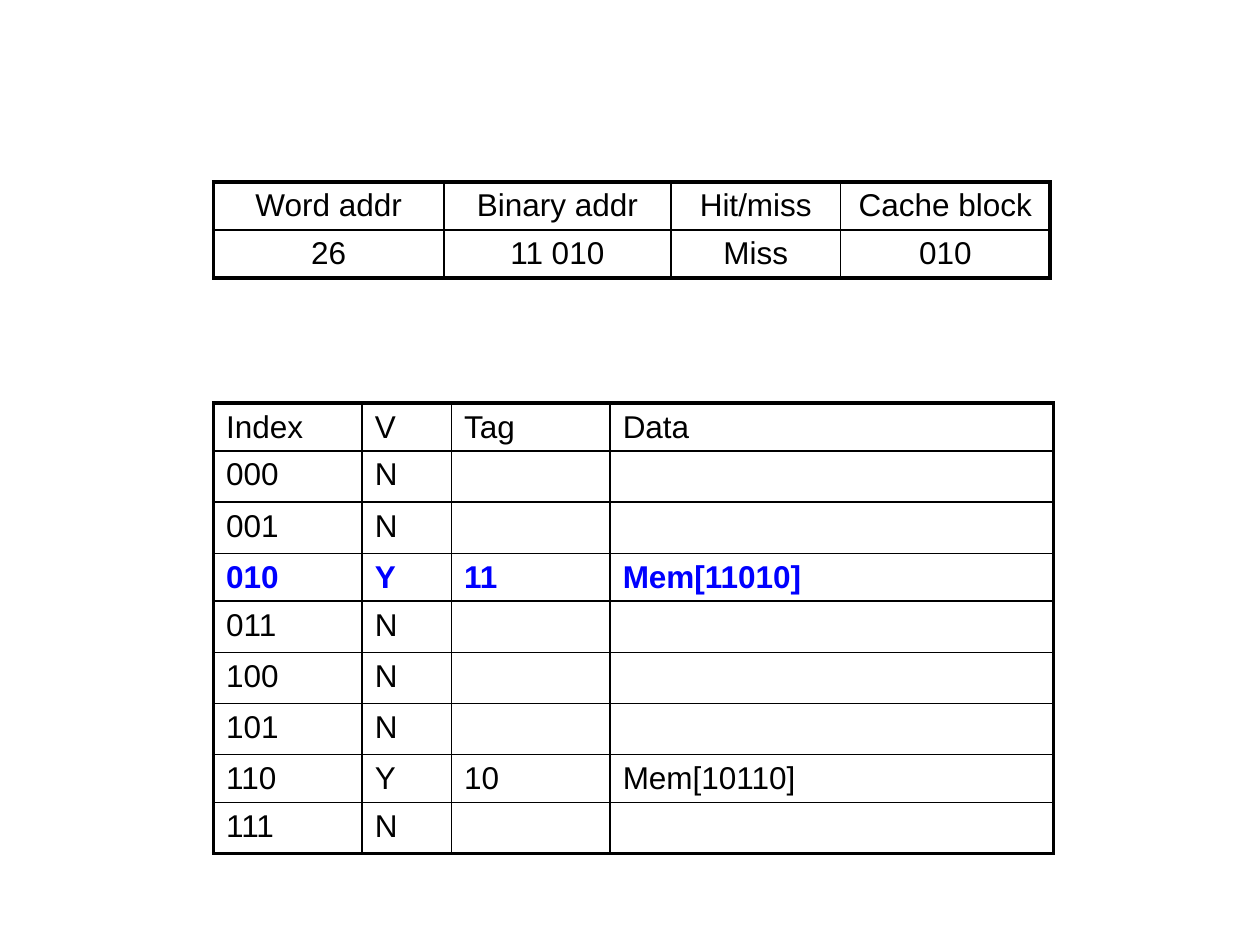
from lxml.etree import SubElement
from pptx import Presentation
from pptx.dml.color import RGBColor
from pptx.enum.text import PP_ALIGN
from pptx.oxml.ns import qn
from pptx.util import Pt

COLORS = {"ink": "000000", "mark": "0000FF"}
ROW = 27.4
OUTER, HEAD, INNER = 2.25, 1.5, 1

ACCESS = [
    ["Word addr", "Binary addr", "Hit/miss", "Cache block"],
    ["26", "11 010", "Miss", "010"],
]
CACHE = [
    ["Index", "V", "Tag", "Data"],
    ["000", "N", "", ""],
    ["001", "N", "", ""],
    ["010", "Y", "11", "Mem[11010]"],
    ["011", "N", "", ""],
    ["100", "N", "", ""],
    ["101", "N", "", ""],
    ["110", "Y", "10", "Mem[10110]"],
    ["111", "N", "", ""],
]


def put_text(cell, text, size=18, color="ink", bold=False, align=PP_ALIGN.LEFT):
    para = cell.text_frame.paragraphs[0]
    para.alignment = align
    para.font.size = Pt(size)
    if text:
        run = para.add_run()
        run.text = text
        run.font.name = "Arial"
        run.font.size = Pt(size)
        run.font.bold = bold
        run.font.color.rgb = RGBColor.from_string(COLORS[color])


def put_lines(cell, widths):
    """Draw the cell borders; widths maps each side to points."""
    props = cell._tc.get_or_add_tcPr()
    for side in "LRTB":
        line = SubElement(props, qn(f"a:ln{side}"), w=str(Pt(widths[side])))
        fill = SubElement(line, qn("a:solidFill"))
        SubElement(fill, qn("a:srgbClr"), val=COLORS["ink"])
    cell.fill.background()


def rule(row, last):
    """Width of the horizontal line above the given row."""
    if row in (0, last):
        return OUTER
    return HEAD if row == 1 else INNER


def add_grid(slide, left, top, cols, data, align=PP_ALIGN.LEFT, mark=None):
    rows, count = len(data), len(cols)
    frame = slide.shapes.add_table(
        rows, count, Pt(left), Pt(top), Pt(sum(cols)), Pt(ROW * rows))
    table = frame.table
    table.first_row = table.horz_banding = False
    for col, width in zip(table.columns, cols):
        col.width = Pt(width)
    for r, texts in enumerate(data):
        table.rows[r].height = Pt(ROW)
        hot = r == mark
        for c, text in enumerate(texts):
            cell = table.cell(r, c)
            put_text(cell, text, color="mark" if hot else "ink",
                     bold=hot, align=align)
            put_lines(cell, {
                "L": OUTER if c == 0 else INNER,
                "R": OUTER if c == count - 1 else INNER,
                "T": rule(r, rows),
                "B": rule(r + 1, rows),
            })


def main():
    deck = Presentation()
    deck.slide_width, deck.slide_height = Pt(720), Pt(540)
    slide = deck.slides.add_slide(deck.slide_layouts[6])
    # Cache contents, with the newly filled block marked
    add_grid(slide, 122, 230.4, [85, 51, 90.7, 253.3], CACHE, mark=3)
    # Memory access
    add_grid(slide, 122, 104, [131.6, 129.8, 97, 119.6], ACCESS,
             align=PP_ALIGN.CENTER)
    deck.save("out.pptx")


if __name__ == "__main__":
    main()
